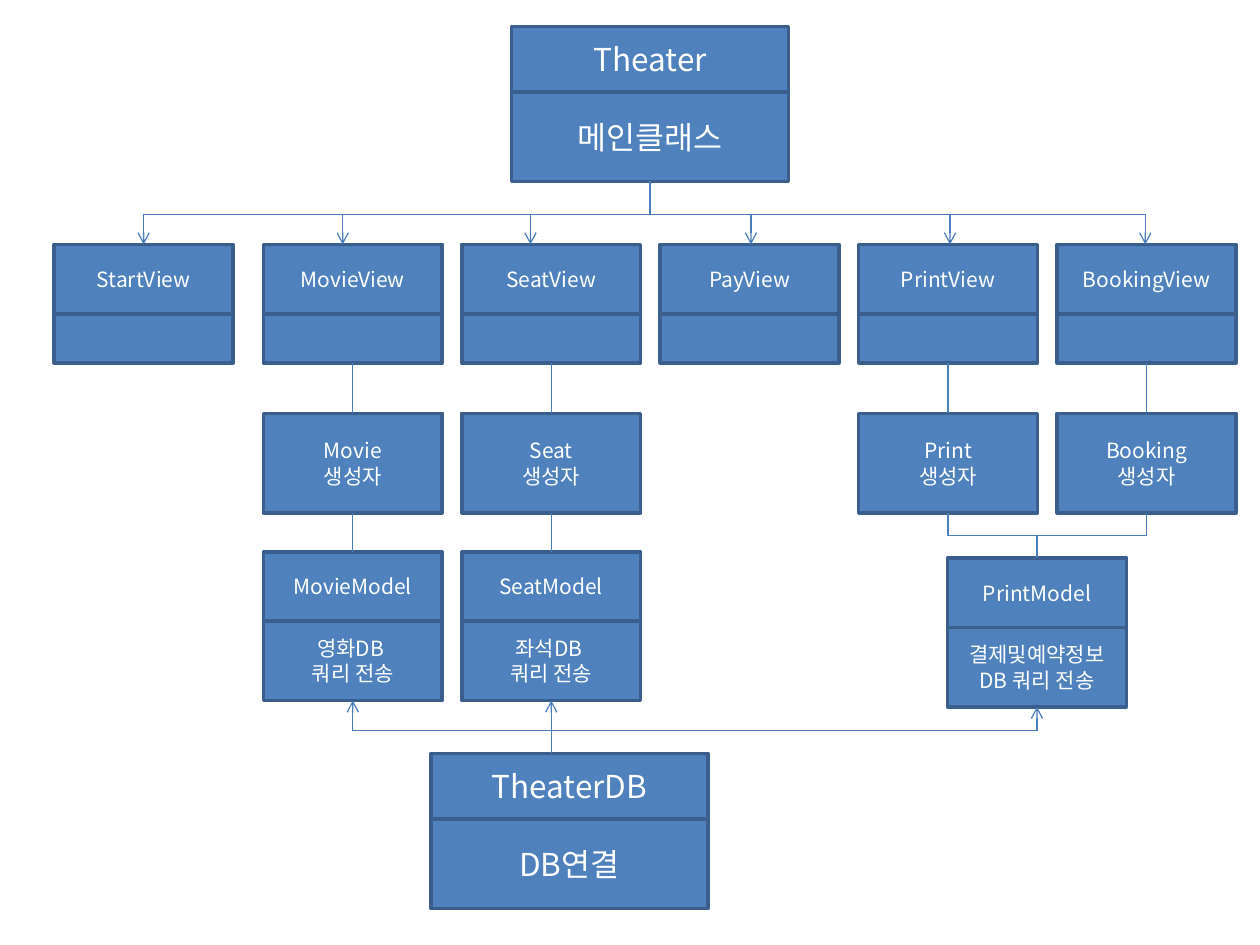
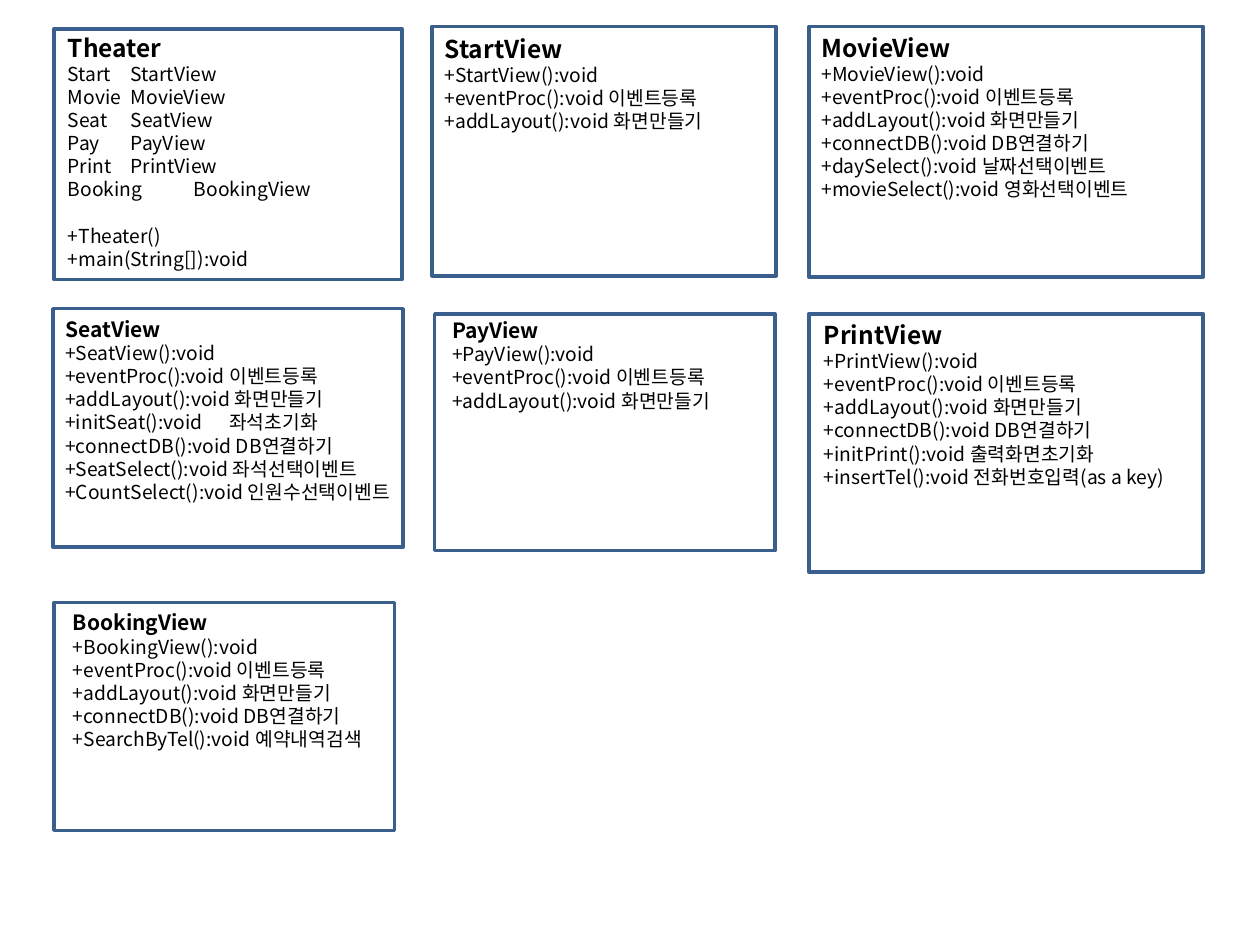
from lxml import etree
from pptx import Presentation
from pptx.dml.color import RGBColor
from pptx.enum.shapes import MSO_CONNECTOR, MSO_SHAPE
from pptx.enum.text import MSO_ANCHOR, MSO_AUTO_SIZE, PP_ALIGN
from pptx.oxml.ns import qn
from pptx.util import Inches, Pt

FILL = RGBColor(0x4F, 0x81, 0xBD)
BORDER = RGBColor(0x3A, 0x5F, 0x8C)
LINK = RGBColor(0x4B, 0x7E, 0xBC)
WHITE = RGBColor(0xFF, 0xFF, 0xFF)
BLACK = RGBColor(0x00, 0x00, 0x00)
FONT = "Noto Sans CJK KR"

# Class map grid
BOX_W = 1.42
COLUMNS = [0.43] + [2.09 + 1.575 * i for i in range(5)]
START, MOVIE, SEAT, PAY, PRINT, BOOKING = COLUMNS
PRINT_MODEL = 7.52
VIEW_Y, MAKER_Y, MODEL_Y, PRINT_MODEL_Y = 1.94, 3.28, 4.38, 4.43
MAKER_H = 0.79
TOP_BUS, MERGE_BUS, DB_BUS = 1.7, 4.25, 5.8

# Members that several views share
EVENTS = "+eventProc():void 이벤트등록"
LAYOUT = "+addLayout():void 화면만들기"
CONNECT = "+connectDB():void DB연결하기"


class Diagram:
    def __init__(self):
        self.deck = Presentation()
        self.deck.slide_width, self.deck.slide_height = Inches(10), Inches(7.5)
        self.page = None

    def new_page(self):
        self.page = self.deck.slides.add_slide(self.deck.slide_layouts[6])

    def style(self, para, size, color, bold=False):
        font = para.font
        font.name, font.size, font.bold = FONT, Pt(size), bold
        font.color.rgb = color
        defaults = para._p.get_or_add_pPr().find(qn("a:defRPr"))
        etree.SubElement(defaults, qn("a:ea"), typeface=FONT)

    def rect(self, x, y, width, height, filled=True):
        box = self.page.shapes.add_shape(
            MSO_SHAPE.RECTANGLE, Inches(x), Inches(y), Inches(width), Inches(height))
        box.shadow.inherit = False
        if filled:
            box.fill.solid()
            box.fill.fore_color.rgb = FILL
        else:
            box.fill.background()
        box.line.color.rgb = BORDER
        box.line.width = Pt(2)
        return box

    def label(self, x, y, width, height, text, size=12):
        frame = self.rect(x, y, width, height).text_frame
        frame.word_wrap = True
        frame.vertical_anchor = MSO_ANCHOR.MIDDLE
        if text:
            frame.text = text
            for para in frame.paragraphs:
                para.alignment = PP_ALIGN.CENTER
                self.style(para, size, WHITE)

    def class_box(self, x, y, name, note="", width=BOX_W, name_h=0.55,
                  note_h=0.63, size=12):
        self.label(x, y + name_h, width, note_h, note, size)
        self.label(x, y, width, name_h, name, size)

    def link(self, x1, y1, x2, y2, arrow=False):
        connector = self.page.shapes.add_connector(
            MSO_CONNECTOR.STRAIGHT, Inches(x1), Inches(y1), Inches(x2), Inches(y2))
        connector.line.color.rgb = LINK
        connector.line.width = Pt(0.75)
        properties = connector._element.spPr
        if arrow:
            etree.SubElement(properties.find(qn("a:ln")), qn("a:tailEnd"), type="arrow")
        etree.SubElement(properties, qn("a:effectLst"))

    def members(self, frame_at, text_at, title, lines, title_size=14,
                gap_before=None, tab=None):
        self.rect(*frame_at, filled=False)
        box = self.page.shapes.add_textbox(*(Inches(value) for value in text_at))
        frame = box.text_frame
        frame.word_wrap = False
        frame.auto_size = MSO_AUTO_SIZE.SHAPE_TO_FIT_TEXT
        frame.text = "\n".join([title] + lines)
        for i, para in enumerate(frame.paragraphs):
            self.style(para, 11 if i else title_size, BLACK, bold=i == 0)
            if para.text == gap_before:
                para.space_before = Pt(13.2)
            if tab and "\t" in para.text:
                stops = etree.Element(qn("a:tabLst"))
                etree.SubElement(stops, qn("a:tab"), pos=str(Inches(tab)), algn="l")
                para._p.get_or_add_pPr().insert(0, stops)


def class_map(diagram):
    diagram.new_page()

    # Main class and database class
    for x, y, name, note in ((4.06, 0.21, "Theater", "메인클래스"),
                             (3.42, 5.98, "TheaterDB", "DB연결")):
        diagram.class_box(x, y, name, note, width=2.2, name_h=0.52,
                          note_h=0.71, size=18)

    # Views
    names = ("Start", "Movie", "Seat", "Pay", "Print", "Booking")
    for x, name in zip(COLUMNS, names):
        diagram.class_box(x, VIEW_Y, name + "View", note_h=0.39)

    # Constructors below their views
    for x, name in zip(COLUMNS, names):
        if name not in ("Start", "Pay"):
            diagram.label(x, MAKER_Y, BOX_W, MAKER_H, name + "\n생성자")
            center = x + BOX_W / 2
            diagram.link(center, 2.88, center, MAKER_Y)

    # Models
    for x, y, name, note in (
            (MOVIE, MODEL_Y, "MovieModel", "영화DB \n쿼리 전송"),
            (SEAT, MODEL_Y, "SeatModel", "좌석DB \n쿼리 전송"),
            (PRINT_MODEL, PRINT_MODEL_Y, "PrintModel", "결제및예약정보DB 쿼리 전송")):
        diagram.class_box(x, y, name, note)

    # Main class to views
    drops = (1.14, 2.72, 4.21, 5.96, 7.54, 9.09)
    diagram.link(5.16, 1.44, 5.16, TOP_BUS)
    diagram.link(drops[0], TOP_BUS, drops[-1], TOP_BUS)
    for x in drops:
        diagram.link(x, TOP_BUS, x, VIEW_Y, arrow=True)

    # Constructors to models
    movie, seat, print_maker, booking, print_model = (
        x + BOX_W / 2 for x in (MOVIE, SEAT, PRINT, BOOKING, PRINT_MODEL))
    maker_end = MAKER_Y + MAKER_H
    for x in (movie, seat):
        diagram.link(x, maker_end, x, MODEL_Y)
    for x in (print_maker, booking):
        diagram.link(x, maker_end, x, MERGE_BUS)
    diagram.link(print_maker, MERGE_BUS, booking, MERGE_BUS)
    diagram.link(print_model, MERGE_BUS, print_model, PRINT_MODEL_Y)

    # Database to models
    diagram.link(seat, 5.98, seat, DB_BUS)
    diagram.link(movie, DB_BUS, print_model, DB_BUS)
    for x, end in ((movie, 5.56), (seat, 5.56), (print_model, 5.61)):
        diagram.link(x, DB_BUS, x, end, arrow=True)


def class_members(diagram):
    diagram.new_page()

    # Top row
    fields = [f"{name}\t{name}View" for name in
              ("Start", "Movie", "Seat", "Pay", "Print", "Booking")]
    diagram.members((0.43, 0.23, 2.76, 1.99), (0.44, 0.21, 2.17, 2), "Theater",
                    fields + ["+Theater()", "+main(String[]):void"],
                    gap_before="+Theater()")
    diagram.members((3.43, 0.21, 2.73, 1.98), (3.43, 0.22, 2.3, 0.89), "StartView",
                    ["+StartView():void", EVENTS, LAYOUT])
    diagram.members((6.42, 0.21, 3.13, 1.99), (6.42, 0.21, 2.71, 2), "MovieView",
                    ["+MovieView():void", EVENTS, LAYOUT, CONNECT,
                     "+daySelect():void 날짜선택이벤트",
                     "+movieSelect():void 영화선택이벤트"])

    # Middle row
    diagram.members((0.42, 2.45, 2.78, 1.89), (0.42, 2.46, 2.86, 1.6), "SeatView",
                    ["+SeatView():void", EVENTS, LAYOUT,
                     "+initSeat():void\t좌석초기화", CONNECT,
                     "+SeatSelect():void 좌석선택이벤트",
                     "+CountSelect():void 인원수선택이벤트"],
                    title_size=12, tab=1.3)
    diagram.members((3.45, 2.49, 2.7, 1.88), (3.49, 2.47, 2.3, 1.04), "PayView",
                    ["+PayView():void", EVENTS, LAYOUT], title_size=12)
    diagram.members((6.42, 2.49, 3.13, 2.05), (6.44, 2.49, 2.97, 2), "PrintView",
                    ["+PrintView():void", EVENTS, LAYOUT, CONNECT,
                     "+initPrint():void 출력화면초기화",
                     "+insertTel():void 전화번호입력(as a key)"])

    # Bottom row
    diagram.members((0.43, 4.78, 2.7, 1.81), (0.48, 4.79, 2.55, 1.23), "BookingView",
                    ["+BookingView():void", EVENTS, LAYOUT, CONNECT,
                     "+SearchByTel():void 예약내역검색"], title_size=12)


def main():
    diagram = Diagram()
    class_map(diagram)
    class_members(diagram)
    diagram.deck.save("out.pptx")


if __name__ == "__main__":
    main()
